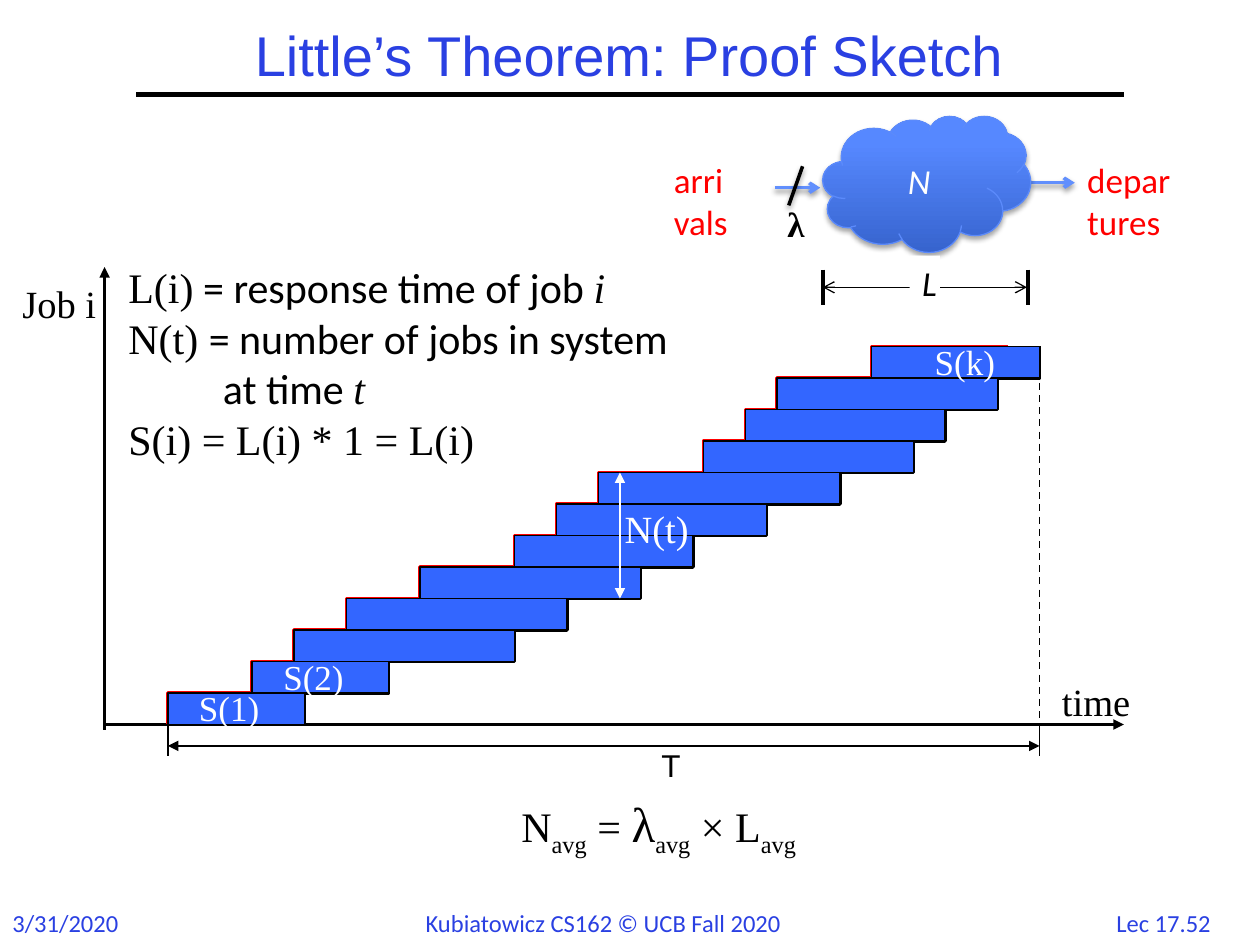
from lxml import etree
from pptx import Presentation
from pptx.dml.color import RGBColor
from pptx.enum.dml import MSO_LINE
from pptx.enum.shapes import MSO_CONNECTOR, MSO_SHAPE
from pptx.enum.text import MSO_ANCHOR, MSO_AUTO_SIZE, PP_ALIGN
from pptx.oxml.ns import qn
from pptx.util import Inches, Pt

STRAIGHT = MSO_CONNECTOR.STRAIGHT
RECT, CLOUD = MSO_SHAPE.RECTANGLE, MSO_SHAPE.CLOUD
CENTER, MIDDLE = PP_ALIGN.CENTER, MSO_ANCHOR.MIDDLE
GROW, FIXED = MSO_AUTO_SIZE.SHAPE_TO_FIT_TEXT, MSO_AUTO_SIZE.NONE
DASH = MSO_LINE.DASH

BLACK = RGBColor(0x00, 0x00, 0x00)
WHITE = RGBColor(0xFF, 0xFF, 0xFF)
RED = RGBColor(0xFF, 0x00, 0x00)
HEADING_BLUE = RGBColor(0x2A, 0x40, 0xE2)
BAR_BLUE = RGBColor(0x33, 0x66, 0xFF)
FLOW_BLUE = RGBColor(0x61, 0x8F, 0xFD)
CLOUD_DARK = RGBColor(0x37, 0x64, 0xCE)
CLOUD_LIGHT = RGBColor(0x56, 0x88, 0xFF)
CLOUD_EDGE = RGBColor(0x5B, 0x8A, 0xFB)

SERIF, SANS, HEADING = "Times New Roman", "Calibri", "Arial"


class SlideBuilder:
    def __init__(self, slide):
        self.slide = slide
        self.shapes = slide.shapes

    def title(self, box, text):
        title = self.shapes.title
        for name, value in zip(("left", "top", "width", "height"), box):
            setattr(title, name, Inches(value))
        title.text_frame.vertical_anchor = MIDDLE
        paragraph = title.text_frame.paragraphs[0]
        paragraph.line_spacing = 0.9
        self.runs(paragraph, [(text, {})], HEADING, 32, HEADING_BLUE, CENTER)

    def runs(self, paragraph, parts, font, size, color, align=None):
        """Write (text, changes) parts; "baseline" is in thousandths of a percent."""
        paragraph.alignment = align
        for text, changes in parts:
            run = paragraph.add_run()
            run.text = text
            style = {"name": font, "size": size, **changes}
            baseline = style.pop("baseline", None)
            style["size"] = Pt(style["size"])
            for name, value in style.items():
                setattr(run.font, name, value)
            run.font.color.rgb = color
            if baseline:
                run.font._element.set("baseline", str(baseline))

    def text(self, box, paragraphs, font=SERIF, size=20, color=BLACK,
             wrap=False, auto_size=GROW, align=None, fill=None):
        if isinstance(paragraphs, str):
            paragraphs = [[(paragraphs, {})]]
        label = self.shapes.add_textbox(*map(Inches, box))
        frame = label.text_frame
        frame.word_wrap, frame.auto_size = wrap, auto_size
        if fill is not None:
            label.fill.solid()
            label.fill.fore_color.rgb = fill
        for i, parts in enumerate(paragraphs):
            paragraph = frame.add_paragraph() if i else frame.paragraphs[0]
            self.runs(paragraph, parts, font, size, color, align)
        return label

    def line(self, start, end, width=1, color=BLACK, head=None, tail=None,
             dash=None, shadow=False):
        line = self.shapes.add_connector(STRAIGHT, *map(Inches, start + end))
        line.line.width, line.line.color.rgb = Pt(width), color
        if dash:
            line.line.dash_style = dash
        ln = line.line._get_or_add_ln()
        for tag, kind in (("a:headEnd", head), ("a:tailEnd", tail)):
            if kind:
                etree.SubElement(ln, qn(tag), type=kind)
        self.effects(line, 38 if shadow else 0)

    def effects(self, shape, opacity):
        """Add an effect list: a soft shadow below, or none for opacity 0."""
        effects = etree.SubElement(shape._element.spPr, qn("a:effectLst"))
        if opacity:
            outer = etree.SubElement(
                effects, qn("a:outerShdw"), blurRad=str(Pt(3.1)),
                dist=str(Pt(1.7)), dir="5400000", rotWithShape="0")
            tint = etree.SubElement(outer, qn("a:srgbClr"), val="000000")
            etree.SubElement(tint, qn("a:alpha"), val=str(opacity * 1000))

    def bar(self, box):
        bar = self.shapes.add_shape(RECT, *map(Inches, box))
        bar.shadow.inherit = False
        bar.fill.solid()
        bar.fill.fore_color.rgb = BAR_BLUE
        bar.line.color.rgb, bar.line.width = BLACK, Pt(0.75)

    def cloud(self, box, text):
        cloud = self.shapes.add_shape(CLOUD, *map(Inches, box))
        cloud.fill.gradient()
        cloud.fill.gradient_angle = 90
        stops = cloud.fill.gradient_stops
        for stop, color, position in zip(stops, (CLOUD_DARK, CLOUD_LIGHT), (0, 0.8)):
            stop.color.rgb, stop.position = color, position
        cloud.line.color.rgb, cloud.line.width = CLOUD_EDGE, Pt(0.75)
        self.effects(cloud, 35)
        cloud.text_frame.vertical_anchor = MIDDLE
        self.runs(cloud.text_frame.paragraphs[0], [(text, {"italic": True})],
                  SANS, 20, WHITE, CENTER)

    def outline(self, points, color):
        points = [(Inches(x), Inches(y)) for x, y in points]
        builder = self.shapes.build_freeform(*points[0], scale=1.0)
        builder.add_line_segments(points[1:], close=False)
        steps = builder.convert_to_shape()
        steps.shadow.inherit = False
        steps.fill.background()
        steps.line.color.rgb, steps.line.width = color, Pt(2)


def main():
    prs = Presentation()
    prs.slide_width, prs.slide_height = Inches(10), Inches(7.5)
    s = SlideBuilder(prs.slides.add_slide(prs.slide_layouts[5]))

    # Footer, title and rule
    for box, text, align in (((8.72, 7.16, 1.03, 0.33), "Lec 17.52", CENTER),
                             ((0, 7.16, 1.07, 0.34), "3/31/2020", None),
                             ((3.28, 7.16, 3.43, 0.34),
                              "Kubiatowicz CS162 © UCB Fall 2020", None)):
        s.text(box, text, SANS, 14, HEADING_BLUE, align=align)
    s.line((1.08, 0.75), (8.92, 0.75), 3)
    s.title((1.08, 0.17, 7.83, 0.58), "Little’s Theorem: Proof Sketch")

    # Axes
    base, step = 5.75, 0.25
    s.line((0.83, 5.79), (0.83, 2.12), 2, tail="triangle")
    s.line((0.83, base), (8.92, base), 2, tail="triangle")
    s.text((8.33, 5.33, 0.75, 0.47), "time", size=22)

    # Jobs: arrival and departure, in twelfths of an inch
    jobs = [(16, 29), (24, 37), (28, 49), (33, 54), (40, 61), (49, 66),
            (53, 73), (57, 80), (67, 87), (71, 90), (74, 95), (83, 99)]
    jobs = [(arrival / 12, departure / 12) for arrival, departure in jobs]
    arrival_steps, departure_steps = [], []
    for i, (arrival, departure) in enumerate(jobs):
        for y in (base - i * step, base - (i + 1) * step):
            arrival_steps.append((arrival, y))
            departure_steps.append((departure, y))
    top = base - len(jobs) * step
    s.outline(departure_steps, BLACK)
    s.outline(arrival_steps + [(8, top)], RED)

    # Total time T
    first, last = jobs[0][0], jobs[-1][1]
    for x in (first, last):
        s.line((x, base), (x, 6))
    s.line((last, top), (last, base), dash=DASH)
    s.line((first, 5.92), (last, 5.92), head="triangle", tail="triangle")
    s.text((5.15, 5.87, 0.35, 0.4), "T", HEADING, 18)

    # Queueing system
    for start, end in (((6.15, 1.49), (6.51, 1.49)), ((8.18, 1.45), (8.53, 1.45))):
        s.line(start, end, 2, FLOW_BLUE, tail="arrow", shadow=True)
    for left, width, text in ((5.25, 0.67, "arrivals"), (8.53, 0.95, "departures")):
        s.text((left, 1.21, width, 0.36), text, SANS, 20, RED,
               wrap=True, auto_size=FIXED)
    s.cloud((6.53, 0.92, 1.65, 1.08), "N")
    s.line((6.37, 1.32), (6.26, 1.63), 2, shadow=True)
    s.text((6.15, 1.56, 0.25, 0.36), [[("λ", {"bold": True})]])

    # Response time L
    s.line((6.53, 2.28), (8.15, 2.28), 0.75, head="arrow", tail="arrow")
    for x in (6.53, 8.16):
        s.line((x, 2.14), (x, 2.42), 2)
    s.text((7.22, 2.03, 0.24, 0.36), [[("L", {"italic": True})]], SANS, fill=WHITE)

    # Job bars
    for i, (arrival, departure) in enumerate(jobs):
        s.bar((arrival, base - (i + 1) * step, departure - arrival, step))

    # Jobs in system at one time
    s.line((4.92, 3.75), (4.92, 4.75), 1.5, WHITE, head="triangle", tail="triangle")
    s.text((4.86, 3.96, 0.71, 0.47), "N(t)", size=22, color=WHITE)

    # Definitions
    sans, italic = {"name": SANS}, {"italic": True}
    definitions = s.text((0.92, 2.03, 4.92, 1.72), [
        [("L(i)", {}), (" = response time of job ", sans), ("i", italic)],
        [("N(t) ", {}), ("= number of jobs in system", sans)],
        [("at time ", sans), ("t", italic)],
        [("S(i) = L(i) * 1 = L(i)", {})],
    ], size=24, wrap=True)
    continuation = definitions.text_frame.paragraphs[2]
    continuation._p.get_or_add_pPr().set("marL", str(Inches(0.75)))

    # Job labels
    s.text((0.08, 2.17, 0.79, 0.47), "Job i", size=22)
    for left, y, text in ((1.48, 5.4, "S(1)"), (2.15, 5.15, "S(2)"), (7.32, 2.65, "S(k)")):
        s.text((left, y, 0.68, 0.43), text, color=WHITE)

    # Result
    average = ("avg", {"baseline": -25000})
    s.text((4.04, 6.25, 2.54, 0.57), [[
        ("N", {}), average, (" = ", {}), ("λ", {"size": 28}), average,
        (" × L", {}), average]], size=24)

    prs.save("out.pptx")


if __name__ == "__main__":
    main()
